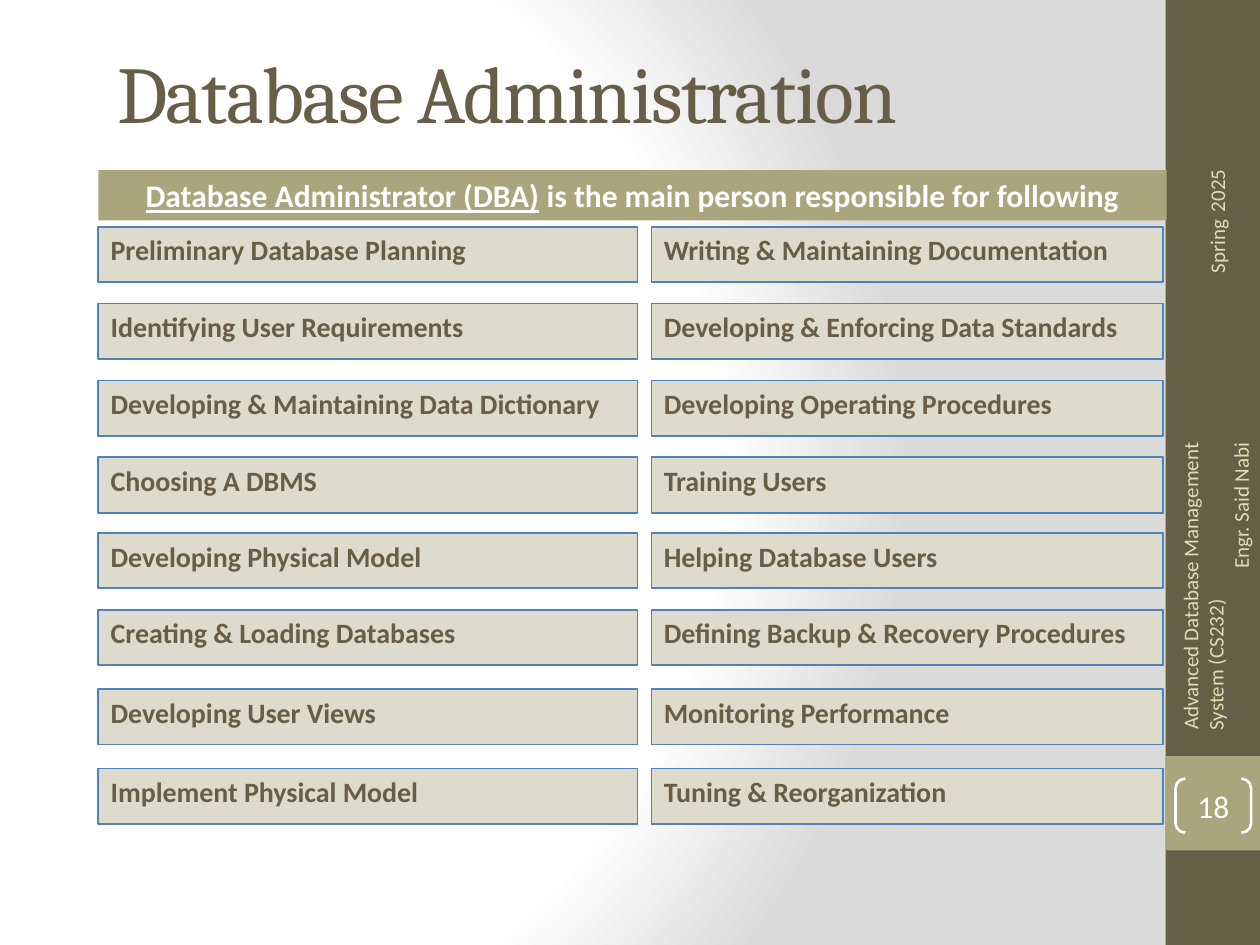
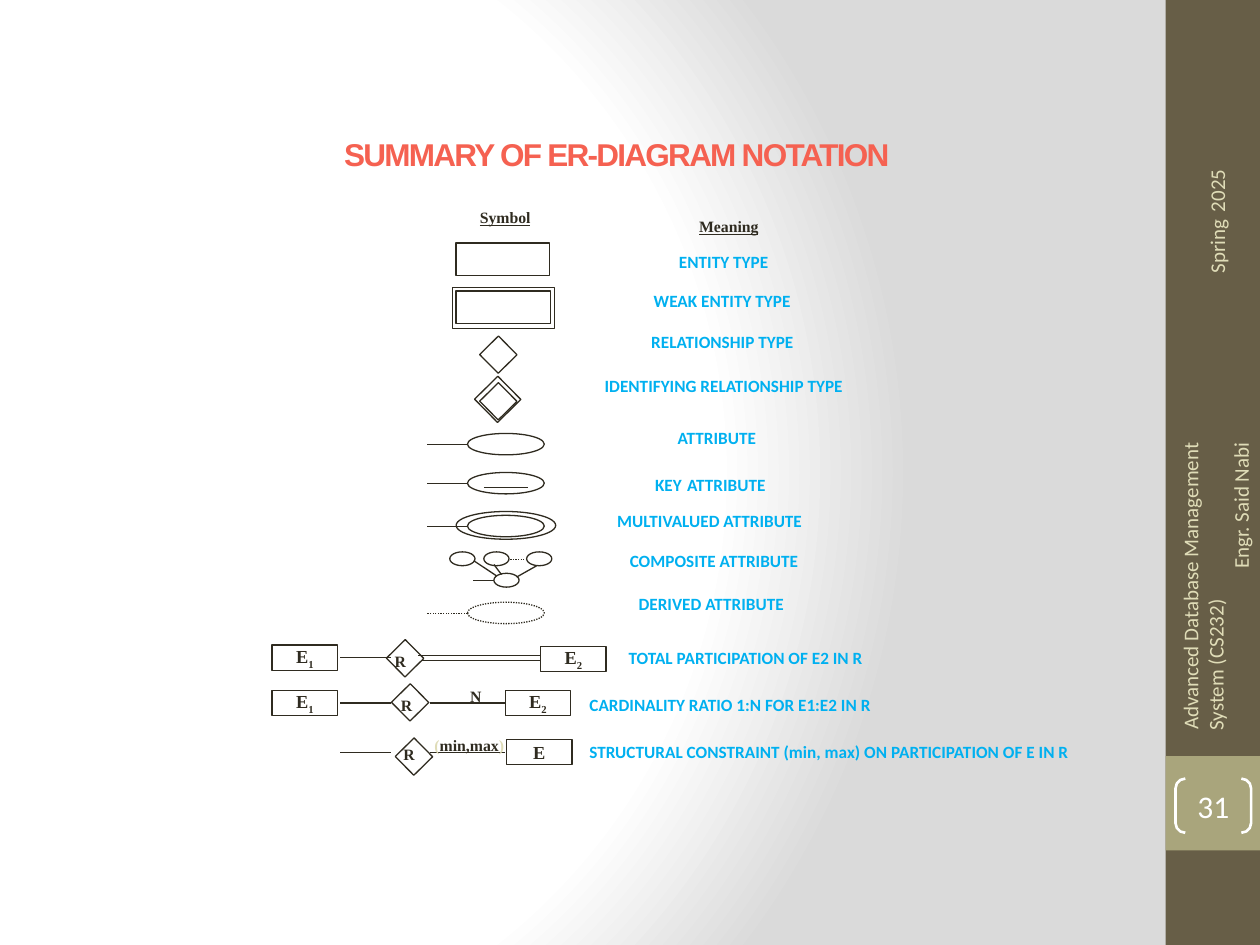
from dataclasses import dataclass
from itertools import product

from lxml.etree import SubElement
from pptx import Presentation
from pptx.dml.color import RGBColor
from pptx.enum.dml import MSO_LINE as Dash
from pptx.enum.shapes import MSO_CONNECTOR as Link, MSO_SHAPE as Form
from pptx.enum.text import MSO_ANCHOR as Anchor, MSO_AUTO_SIZE as Fit, PP_ALIGN as Align
from pptx.oxml import parse_xml
from pptx.oxml.ns import nsdecls, qn
from pptx.util import Pt

EMU_PER_PX = 9144


@dataclass(frozen=True)
class Theme:
    olive: str = "675E47"
    sage: str = "A9A57C"
    cream: str = "DFDCB7"
    panel: str = "DDDBCB"
    blue: str = "4F81BD"
    white: str = "FFFFFF"
    grey: str = "DADADA"
    ink: str = "2F2B20"
    coral: str = "F56151"
    sky: str = "00B0F0"
    body: str = "Calibri"
    serif: str = "Cambria"
    sans: str = "Arial"
    diagram: str = "Times New Roman"
    title_size: float = 46
    band_size: float = 18
    duty_size: float = 16
    footer_size: float = 12
    entity_size: float = 10.5
    meaning_size: float = 9.8
    label_size: float = 9
    thin: float = 0.75


THEME = Theme()
INSET = (10, 5, 10, 5)


def px(length):
    return length * EMU_PER_PX


def write(para, text, size=12, font=THEME.body, color=THEME.ink, bold=False,
          underline=False, spacing=None, baseline=None):
    span = para.add_run()
    span.text = text
    span.font.size = Pt(size)
    span.font.name = font
    span.font.bold = bold
    span.font.underline = underline
    span.font.color.rgb = RGBColor.from_string(color)
    for key, value in (("spc", spacing), ("baseline", baseline)):
        if value is not None:
            span.font._element.set(key, str(value))


class Deck:
    def __init__(self, theme):
        self.theme = theme
        self.file = Presentation()
        self.file.slide_width, self.file.slide_height = px(1000), px(750)
        self.page = None
        self.paint_background()

    def paint_background(self):
        master = self.file.slide_master
        master.background.fill.gradient()
        old = master.element.find(".//" + qn("a:gradFill"))
        stops = "".join(
            f'<a:gs pos="{pos}"><a:srgbClr val="{color}"/></a:gs>'
            for pos, color in ((0, self.theme.white), (75000, self.theme.white),
                               (100000, self.theme.grey)))
        old.getparent().replace(old, parse_xml(
            f'<a:gradFill rotWithShape="1" {nsdecls("a")}><a:gsLst>{stops}</a:gsLst>'
            '<a:path path="circle"><a:fillToRect l="20000" t="50000" r="100000" b="50000"/>'
            '</a:path></a:gradFill>'))

    def add_page(self, number):
        theme = self.theme
        self.page = self.file.slides.add_slide(self.file.slide_layouts[5])
        self.shape(925, 0, 75, 750, fill=theme.olive)
        self.shape(925, 600, 75, 75, fill=theme.sage)
        style = dict(size=theme.footer_size, color=theme.cream)
        course = self.text(835, 451, 259, 40, "Advanced Database Management", wrap=True,
                           fit=False, anchor=Anchor.MIDDLE, align=Align.RIGHT, **style)
        course.rotation = 270
        for line, align in (("System (CS232)", Align.LEFT), ("Engr. Said Nabi", Align.RIGHT)):
            para = course.text_frame.add_paragraph()
            para.alignment = align
            write(para, line, **style)
            if align == Align.LEFT:
                para._p.get_or_add_pPr().set("marL", str(px(11)))
        term = self.text(911, 155, 103, 40,
                         [("Spring", {}), (" ", {"size": theme.band_size}), ("2025", {})],
                         **style)
        term.rotation = 270
        badge = self.shape(933, 618, 60, 43, Form.DOUBLE_BRACKET, line=theme.white, weight=1.5)
        badge.adjustments[0] = 0.18
        self.fill_text(badge, number, size=theme.band_size, color=theme.white, inset=(0, 0, 0, 0))

    def fill_text(self, box, text, align=Align.CENTER, anchor=Anchor.MIDDLE, wrap=True,
                  fit=False, inset=INSET, leading=None, **style):
        frame = box.text_frame
        frame.word_wrap = wrap
        frame.auto_size = Fit.SHAPE_TO_FIT_TEXT if fit else Fit.NONE
        frame.vertical_anchor = anchor
        (frame.margin_left, frame.margin_top,
         frame.margin_right, frame.margin_bottom) = map(px, inset)
        para = frame.paragraphs[0]
        para.alignment = align
        if leading:
            para.line_spacing = leading
        spans = [(text, {})] if isinstance(text, str) else text
        for words, changes in spans:
            write(para, words, **{**style, **changes})

    def title(self, left, top, width, height, text, **style):
        box = self.page.shapes.title
        box.left, box.top, box.width, box.height = map(px, (left, top, width, height))
        self.fill_text(box, text, spacing=-100, **style)

    def text(self, left, top, width, height, text, align=Align.LEFT, anchor=Anchor.TOP,
             wrap=False, fit=True, **style):
        box = self.page.shapes.add_textbox(*map(px, (left, top, width, height)))
        self.fill_text(box, text, align=align, anchor=anchor, wrap=wrap, fit=fit, **style)
        return box

    def stroke(self, line, color, weight, dash):
        line.color.rgb = RGBColor.from_string(color)
        line.width = Pt(weight)
        if dash:
            line.dash_style = dash

    def shape(self, left, top, width, height, form=Form.RECTANGLE, fill=None, line=None,
              weight=1, dash=None):
        box = self.page.shapes.add_shape(form, *map(px, (left, top, width, height)))
        box.shadow.inherit = False
        if fill:
            box.fill.solid()
            box.fill.fore_color.rgb = RGBColor.from_string(fill)
        else:
            box.fill.background()
        if line:
            self.stroke(box.line, line, weight, dash)
        else:
            box.line.fill.background()
        return box

    def outline(self, left, top, width, height, form=Form.RECTANGLE, dash=None):
        return self.shape(left, top, width, height, form, line=self.theme.ink,
                          weight=self.theme.thin, dash=dash)

    def oval(self, left, top, width=61, height=17, dash=None):
        self.outline(left, top, width, height, Form.OVAL, dash)

    def diamond(self, left, top, side=21):
        self.outline(left, top, side, side).rotation = 45.4

    def line(self, x1, y1, x2, y2, dash=None):
        link = self.page.shapes.add_connector(Link.STRAIGHT, *map(px, (x1, y1, x2, y2)))
        self.stroke(link.line, self.theme.ink, self.theme.thin, dash)
        SubElement(link._element.spPr, qn("a:effectLst"))

    def label(self, left, top, width, height, text, **style):
        self.text(left, top, width, height, text, size=self.theme.label_size,
                  font=self.theme.diagram, bold=True, **style)

    def entity(self, left, top, index=""):
        spans = [("E", {})] + ([(index, {"baseline": -25000})] if index else [])
        self.fill_text(self.outline(left, top, 52, 20), spans, wrap=False, bold=True,
                       size=self.theme.entity_size, font=self.theme.diagram)

    def meaning(self, left, top, width, text, height=24, leading=0.8, wrap=False):
        self.text(left, top, width, height, text, leading=leading, wrap=wrap, bold=True,
                  size=self.theme.meaning_size, color=self.theme.sky)


DUTIES = (
    ("Preliminary Database Planning", "Identifying User Requirements",
     "Developing & Maintaining Data Dictionary", "Choosing A DBMS",
     "Developing Physical Model", "Creating & Loading Databases",
     "Developing User Views", "Implement Physical Model"),
    ("Writing & Maintaining Documentation", "Developing & Enforcing Data Standards",
     "Developing Operating Procedures", "Training Users", "Helping Database Users",
     "Defining Backup & Recovery Procedures", "Monitoring Performance",
     "Tuning & Reorganization"),
)
DUTY_COLUMNS = ((78, 428), (517, 406))
DUTY_TOPS = (180, 241, 302, 363, 423, 484, 547, 610)

MEANINGS = (
    (529, 198, 92, "ENTITY TYPE"),
    (509, 229, 130, "WEAK ENTITY TYPE"),
    (507, 261, 135, "RELATIONSHIP TYPE"),
    (470, 296, 211, "IDENTIFYING RELATIONSHIP TYPE"),
    (480, 403, 170, "MULTIVALUED ATTRIBUTE"),
    (490, 435, 156, "COMPOSITE ATTRIBUTE"),
    (497, 469, 137, "DERIVED ATTRIBUTE"),
    (489, 512, 212, "TOTAL PARTICIPATION OF E2 IN R"),
    (458, 549, 246, "CARDINALITY RATIO 1:N FOR E1:E2 IN R"),
)


def add_administration(deck):
    theme = deck.theme
    deck.add_page("18")
    deck.title(83, 10, 833, 125, "Database Administration", align=Align.LEFT,
               size=theme.title_size, font=theme.serif, color=theme.olive)
    band = deck.shape(78, 135, 848, 40, fill=theme.sage)
    deck.fill_text(band, [("Database Administrator (DBA)", {"underline": True}),
                          (" is the main person responsible for following", {})],
                   size=theme.band_size, color=theme.white, bold=True)
    for column, row in product(range(len(DUTY_COLUMNS)), range(len(DUTY_TOPS))):
        left, width = DUTY_COLUMNS[column]
        box = deck.shape(left, DUTY_TOPS[row], width, 44, fill=theme.panel, line=theme.blue)
        deck.fill_text(box, DUTIES[column][row], align=Align.JUSTIFY, anchor=Anchor.TOP,
                       size=theme.duty_size, color=theme.olive, bold=True)


def draw_symbols(deck):
    deck.outline(362, 193, 74, 26)
    deck.outline(362, 231, 75, 26)
    deck.outline(359, 228, 81, 33)
    deck.diamond(385, 271)
    deck.diamond(385, 308)
    deck.diamond(382, 304, 26)
    for top, dash in ((344, None), (375, None), (409, None), (478, Dash.ROUND_DOT)):
        deck.oval(371, top, dash=dash)
        deck.line(371, top + 9, 339, top + 9, dash)
    deck.line(384, 387, 419, 387)
    deck.oval(362, 406, 79, 22)
    for left, top in ((357, 438), (384, 438), (418, 438), (392, 455)):
        deck.oval(left, top, 20, 11)
    for ends in ((392, 461, 375, 461), (376, 445, 394, 457),
                 (392, 448, 398, 456), (410, 458, 426, 449)):
        deck.line(*ends)
    deck.line(405, 444, 418, 444, Dash.ROUND_DOT)


def draw_relationships(deck):
    cream = {"color": deck.theme.cream}
    for left, top, index in ((216, 512, "1"), (429, 513, "2"), (216, 548, "1"),
                             (401, 548, "2"), (402, 587, "")):
        deck.entity(left, top, index)
    for y in (522, 558, 597):
        deck.line(270, y, 310, y)
    for ends in ((332, 520, 429, 520), (335, 524, 429, 524),
                 (341, 558, 401, 558), (341, 597, 401, 597)):
        deck.line(*ends)
    for left, top in ((311, 512), (315, 547), (318, 590)):
        deck.diamond(left, top)
    for left, top, letter in ((303, 512, "R"), (308, 547, "R"), (310, 586, "R"), (363, 540, "N")):
        deck.label(left, top, 29, 25, letter, align=Align.RIGHT)
    deck.label(335, 579, 76, 25, [("(", cream), ("min,max", {}), (")", cream)])


def add_notation(deck):
    theme = deck.theme
    deck.add_page("31")
    deck.title(154, 107, 671, 34, "SUMMARY OF ER-DIAGRAM NOTATION", inset=(7, 0, 7, 4),
               fit=True, size=theme.band_size, font=theme.sans, color=theme.coral, bold=True)
    deck.label(371, 165, 61, 15, "Symbol", inset=(10, 0, 10, 0), underline=True)
    deck.label(545, 170, 68, 22, "Meaning", leading=0.8, underline=True)
    draw_symbols(deck)
    draw_relationships(deck)
    for left, top, width, text in MEANINGS:
        deck.meaning(left, top, width, text)
    deck.meaning(528, 334, 84, "ATTRIBUTE", height=27, leading=None)
    deck.meaning(510, 371, 109, [("KEY", {}), (" ", {"size": 13.5}), ("ATTRIBUTE", {})], height=29)
    deck.meaning(458, 587, 500, "STRUCTURAL CONSTRAINT (min, max) ON PARTICIPATION OF E IN R",
                 wrap=True)


def main():
    deck = Deck(THEME)
    add_administration(deck)
    add_notation(deck)
    deck.file.save("out.pptx")


if __name__ == "__main__":
    main()
